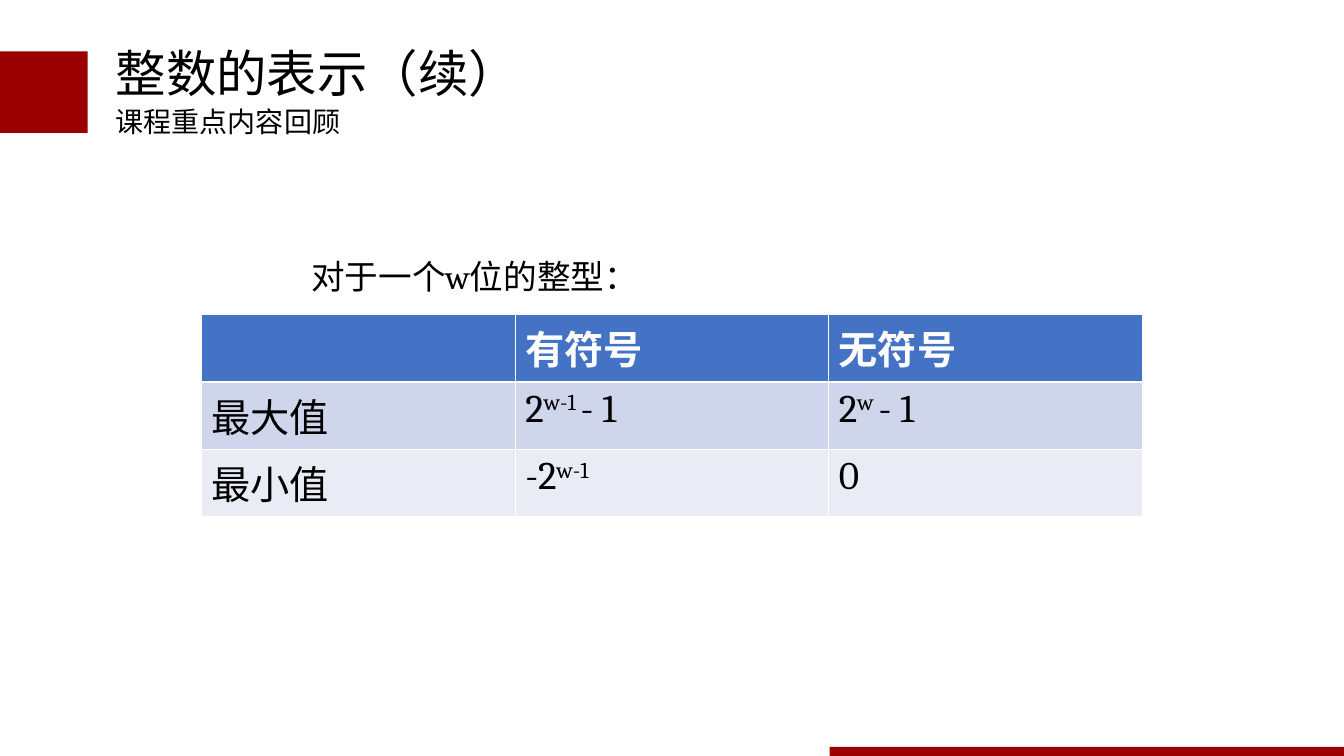
"""Build the slide on the range of signed and unsigned integers."""
from dataclasses import dataclass

from lxml import etree
from pptx import Presentation
from pptx.dml.color import RGBColor
from pptx.enum.shapes import MSO_SHAPE
from pptx.oxml.ns import qn
from pptx.util import Pt

RECT = MSO_SHAPE.RECTANGLE
RED = RGBColor(0x9A, 0x00, 0x01)
BLACK = RGBColor(0x00, 0x00, 0x00)
WHITE = RGBColor(0xFF, 0xFF, 0xFF)
BLUE = RGBColor(0x44, 0x72, 0xC4)
MIST = RGBColor(0xCF, 0xD5, 0xEA)
PALE = RGBColor(0xE9, 0xEB, 0xF5)
SANS = "Noto Sans CJK SC"
MONO = "Noto Sans Mono"
SERIF = "Cambria"


@dataclass(frozen=True)
class Span:
    """A run of text in one font, raised or not."""
    text: str
    face: str = SERIF
    raised: bool = False


@dataclass(frozen=True)
class Label:
    """A text box with its place and size."""
    left: float
    top: float
    width: float
    height: float
    size: float
    spans: tuple[Span, ...]
    wrap: bool = True


@dataclass(frozen=True)
class Bar:
    """A plain red block."""
    left: float
    top: float
    width: float
    height: float


@dataclass(frozen=True)
class Row:
    """A table row with its fill and text style."""
    cells: tuple[tuple[Span, ...], ...]
    fill: RGBColor
    color: RGBColor = BLACK
    bold: bool = False


LABELS = (
    Label(75.6, 26.64, 302.4, 51.12, 36, (Span("整数的表示（续）", MONO),), False),
    Label(75.6, 71.28, 401.76, 31.68, 20, (Span("课程重点内容回顾", MONO),)),
    Label(215.28, 179.28, 529.2, 36, 24,
          (Span("对于一个", SANS), Span("w"), Span("位的整型：", SANS))),
)
BARS = (Bar(0, 36.72, 62.64, 58.32), Bar(592.56, 533.52, 367.44, 6.48))
ROWS = (
    Row(((), (Span("有符号", SANS),), (Span("无符号", SANS),)), BLUE, WHITE, True),
    Row(((Span("最大值", SANS),),
         (Span("2"), Span("w-1 ", raised=True), Span("- 1")),
         (Span("2"), Span("w ", raised=True), Span("- 1"))), MIST),
    Row(((Span("最小值", SANS),),
         (Span("-2"), Span("w-1", raised=True)),
         (Span("0"),)), PALE),
)


def write(frame, spans: tuple[Span, ...], size: float,
          color: RGBColor = BLACK, bold: bool = False) -> None:
    """Fill the first paragraph of a frame with spans."""
    for span in spans:
        run = frame.paragraphs[0].add_run()
        run.text = span.text
        style = {"size": Pt(size), "bold": bold, "name": span.face}
        for key, value in style.items():
            setattr(run.font, key, value)
        run.font.color.rgb = color
        props = run._r.get_or_add_rPr()
        east = SANS if span.face == SERIF else span.face
        etree.SubElement(props, qn("a:ea")).set("typeface", east)
        if span.raised:
            props.set("baseline", "30000")


def add_bar(slide, bar: Bar) -> None:
    """Draw a red block."""
    shape = slide.shapes.add_shape(
        RECT, Pt(bar.left), Pt(bar.top), Pt(bar.width), Pt(bar.height))
    shape.shadow.inherit = False
    shape.fill.solid()
    shape.fill.fore_color.rgb = RED
    shape.line.fill.background()


def add_label(slide, label: Label) -> None:
    """Draw a text box."""
    box = slide.shapes.add_textbox(
        Pt(label.left), Pt(label.top), Pt(label.width), Pt(label.height))
    box.text_frame.word_wrap = label.wrap
    write(box.text_frame, label.spans, label.size)


def add_grid(slide, rows: tuple[Row, ...]) -> None:
    """Draw the table of limits."""
    grid = slide.shapes.add_table(
        len(rows), len(rows[0].cells),
        Pt(144), Pt(224.64), Pt(672), Pt(144.72)).table
    for r, row in enumerate(rows):
        for c, spans in enumerate(row.cells):
            cell = grid.cell(r, c)
            cell.fill.solid()
            cell.fill.fore_color.rgb = row.fill
            write(cell.text_frame, spans, 28, row.color, row.bold)


def main() -> None:
    """Build and save the deck."""
    deck = Presentation()
    deck.slide_width, deck.slide_height = Pt(960), Pt(540)
    slide = deck.slides.add_slide(deck.slide_layouts[6])
    for bar in BARS:
        add_bar(slide, bar)
    for label in LABELS:
        add_label(slide, label)
    add_grid(slide, ROWS)
    deck.save("out.pptx")


if __name__ == "__main__":
    main()
